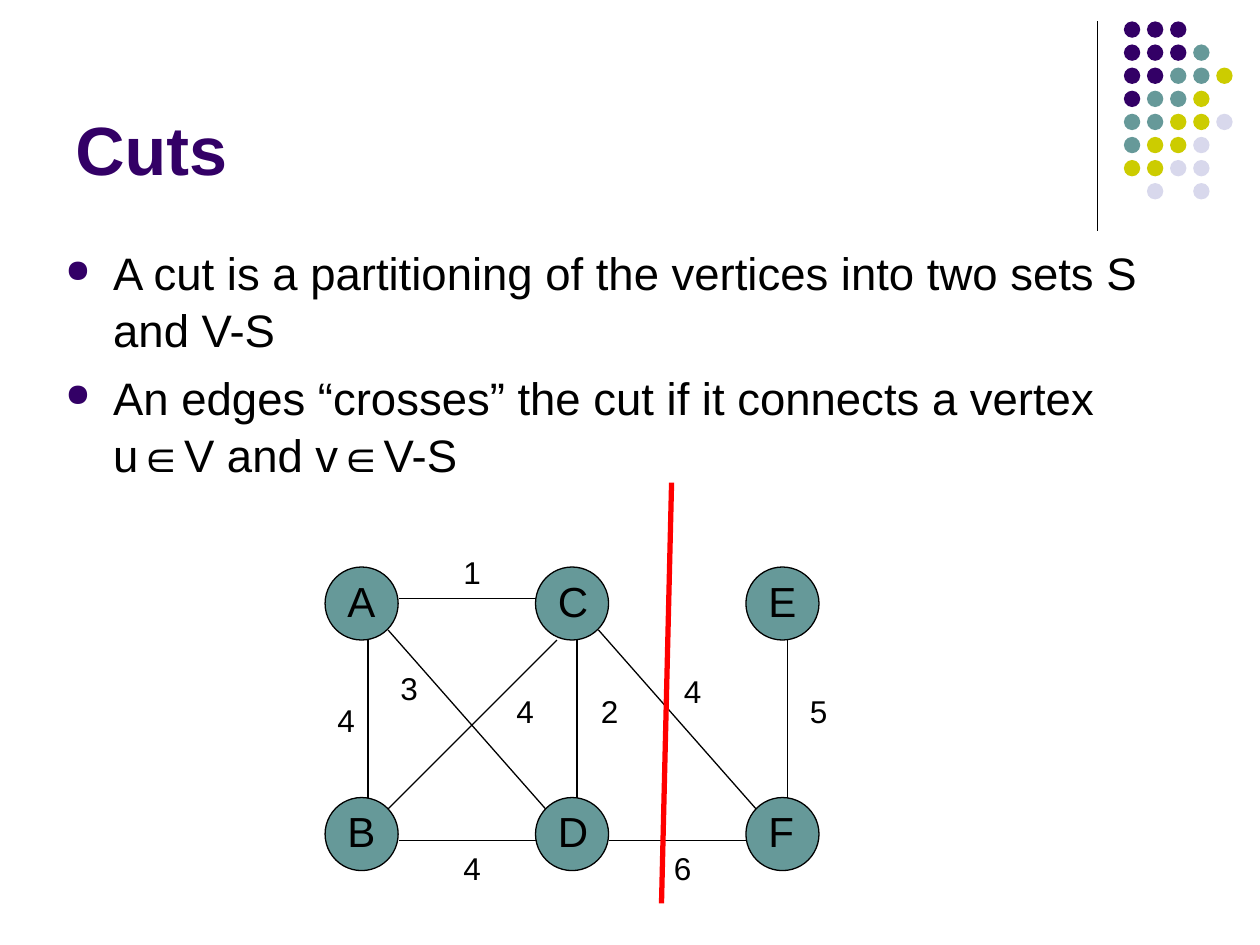
from lxml import etree
from pptx import Presentation
from pptx.dml.color import RGBColor
from pptx.enum.shapes import MSO_CONNECTOR, MSO_SHAPE
from pptx.enum.text import MSO_ANCHOR
from pptx.oxml.ns import qn
from pptx.util import Inches, Pt

LINE = MSO_CONNECTOR.STRAIGHT
OVAL = MSO_SHAPE.OVAL
TOP, BOTTOM = MSO_ANCHOR.TOP, MSO_ANCHOR.BOTTOM

COLORS = {"purple": "330066", "teal": "669999", "olive": "CCCC00",
          "lilac": "D8D8EC", "black": "000000", "red": "FF0000"}
DOT_COLORS = {"p": "purple", "t": "teal", "o": "olive", "l": "lilac"}
DOT_ROWS = ["ppp", "pppt", "pptto", "ptto", "ttool", "tool", "ooll", " l l"]

TITLE = {"size": Pt(39), "bold": True}
BODY = {"size": Pt(26)}
NODE = {"size": Pt(24)}
WEIGHT = {"size": Pt(18)}

BULLETS = ["A cut is a partitioning of the vertices into two sets S and V-S",
           "An edges “crosses” the cut if it connects a vertex u∈V and v∈V-S"]
COLUMNS, ROWS = (2.58, 4.25, 5.92), (4.5, 6.33)
NODES = ["ACE", "BDF"]
NODE_SIZE = 0.58
EDGES = [(3.17, 6.67, 4.25, 6.67), (4.58, 6.33, 4.58, 5.08),
         (2.92, 6.33, 2.92, 5.08), (3.17, 4.75, 4.25, 4.75),
         (3.08, 5, 4.33, 6.42), (4.83, 6.67, 5.92, 6.67),
         (6.25, 6.33, 6.25, 5.08), (4.75, 5, 6, 6.42),
         (3.08, 6.42, 4.42, 5.08)]
WEIGHTS = [("4", 2.58, 5.5), ("1", 3.58, 4.33), ("2", 4.67, 5.43),
           ("3", 3.08, 5.25), ("4", 3.58, 6.68), ("5", 6.33, 5.43),
           ("4", 5.33, 5.27), ("6", 5.25, 6.68), ("4", 4, 5.43)]


def rgb(name):
    """Return the named colour."""
    return RGBColor.from_string(COLORS[name])


def add_bullet(p):
    """Give a paragraph a hanging purple bullet."""
    pPr = p._p.get_or_add_pPr()
    pPr.set("marL", str(Inches(0.38)))
    pPr.set("indent", str(-Inches(0.38)))
    color = etree.SubElement(pPr, qn("a:buClr"))
    etree.SubElement(color, qn("a:srgbClr"), val=COLORS["purple"])
    etree.SubElement(pPr, qn("a:buSzPct"), val="70000")
    etree.SubElement(pPr, qn("a:buChar"), char="●")


def add_text(s, lines, box, fmt, color="black", anchor=TOP, bullets=False):
    """Add a text box with one paragraph per line."""
    tf = s.shapes.add_textbox(*map(Inches, box)).text_frame
    tf.word_wrap = True
    tf.vertical_anchor = anchor
    for i, line in enumerate(lines):
        p = tf.paragraphs[0] if i == 0 else tf.add_paragraph()
        p.line_spacing = 1.04
        if bullets:
            p.space_before = Pt(6.5)
            add_bullet(p)
        r = p.add_run()
        r.text = line
        r.font.name = "Arial"
        r.font.color.rgb = rgb(color)
        for name, value in fmt.items():
            setattr(r.font, name, value)


def add_circle(s, x, y, size, color, outlined=False):
    """Add a filled circle, with a thin black outline if asked."""
    sp = s.shapes.add_shape(OVAL, *map(Inches, (x, y, size, size)))
    sp.shadow.inherit = False
    sp.fill.solid()
    sp.fill.fore_color.rgb = rgb(color)
    if outlined:
        sp.line.color.rgb = rgb("black")
        sp.line.width = Pt(0.75)
    else:
        sp.line.fill.background()


def add_line(s, ends, color="black", width=0.75):
    """Add a straight line between two points."""
    sp = s.shapes.add_connector(LINE, *map(Inches, ends))
    sp.line.color.rgb = rgb(color)
    sp.line.width = Pt(width)
    etree.SubElement(sp._element.spPr, qn("a:effectLst"))


def add_dots(s):
    """Add the corner pattern of dots."""
    for row, keys in enumerate(DOT_ROWS):
        for col, key in enumerate(keys):
            if key in DOT_COLORS:
                add_circle(s, 8.92 + col * 0.55 / 3, 0.17 + row * 0.55 / 3,
                           0.13, DOT_COLORS[key])


def add_graph(s):
    """Add the weighted graph and the cut through it."""
    for y, names in zip(ROWS, NODES):
        for x, name in zip(COLUMNS, names):
            add_circle(s, x, y, NODE_SIZE, "teal", outlined=True)
            add_text(s, [name], (x + 0.08, y, 0.5, 0.5), NODE)
    for ends in EDGES:
        add_line(s, ends)
    for weight, x, y in WEIGHTS:
        add_text(s, [weight], (x, y, 0.58, 0.4), WEIGHT)
    add_line(s, (5.25, 7.17, 5.33, 3.83), "red", 3)


def main():
    """Build the slide and save it."""
    prs = Presentation()
    prs.slide_width, prs.slide_height = Inches(10), Inches(7.5)
    s = prs.slides.add_slide(prs.slide_layouts[6])
    add_line(s, (8.71, 0.17, 8.71, 1.83))
    add_dots(s)
    add_text(s, ["Cuts"], (0.5, 0.13, 8.25, 1.42), TITLE, "purple", BOTTOM)
    add_text(s, BULLETS, (0.42, 1.88, 9.08, 1.95), BODY, bullets=True)
    add_graph(s)
    prs.save("out.pptx")


if __name__ == "__main__":
    main()
